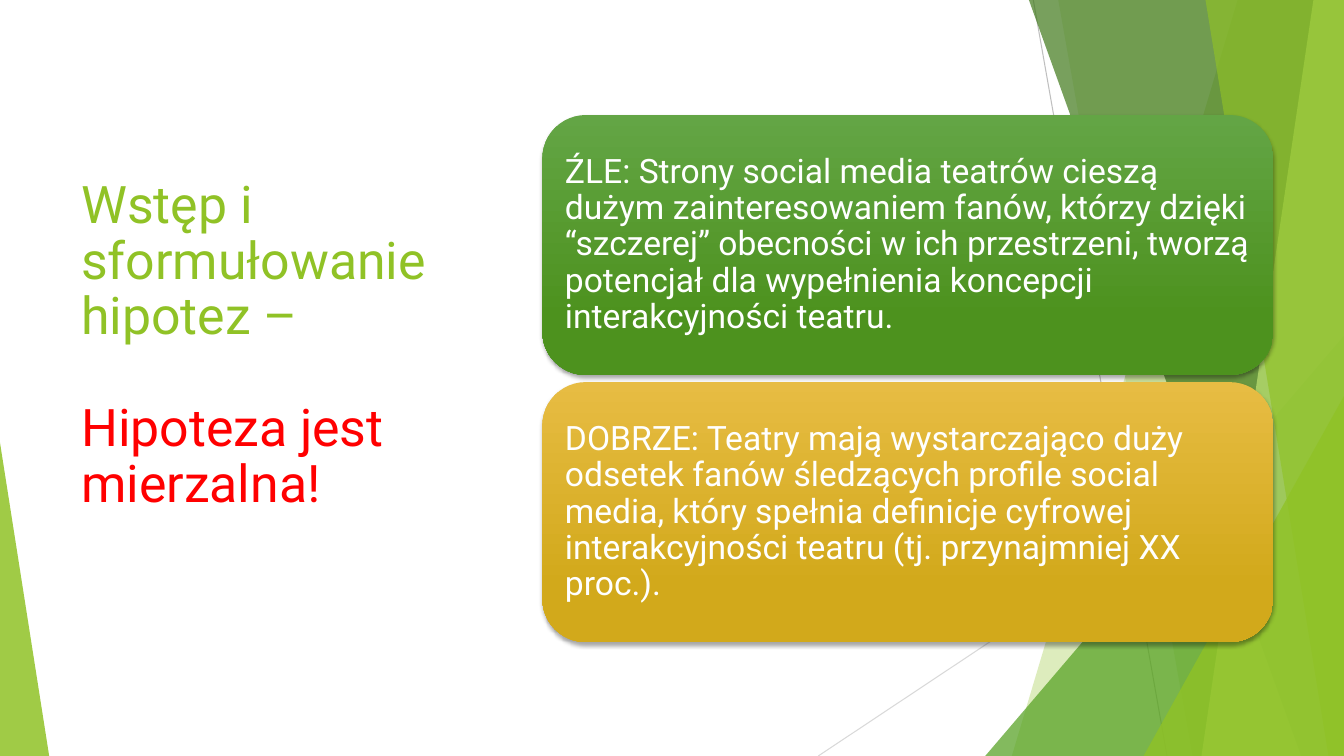
from lxml import etree
from pptx import Presentation
from pptx import util as u
from pptx.dml.color import RGBColor
from pptx.enum import shapes, text
from pptx.oxml.ns import qn

WIDTH, HEIGHT = 33.87, 19.05  # cm
FONT = "Roboto"
GREEN = "90C226"


def colour(hex_string):
    return RGBColor.from_string(hex_string)


def style_facet(shape, fill, opacity):
    shape.shadow.inherit = False
    shape.line.fill.background()
    shape.fill.solid()
    shape.fill.fore_color.rgb = colour(fill)
    fill_colour = shape.fill._xPr.find(qn("a:solidFill"))[0]
    etree.SubElement(fill_colour, qn("a:alpha"), val=str(opacity * 1000))


def add_band(slide, box, top_x, bottom_x, fill, opacity):
    """Slanted band from a left edge to the right side of the box."""
    left, top, width, height = box
    right, bottom = left + width, top + height
    corners = [(left + top_x, top), (right, top), (right, bottom), (left + bottom_x, bottom)]
    points = [(u.Cm(x), u.Cm(y)) for x, y in corners]
    builder = slide.shapes.build_freeform(*points[0], scale=1.0)
    builder.add_line_segments(points[1:], close=True)
    style_facet(builder.convert_to_shape(), fill, opacity)


def add_corner(slide, box, width, height, apex, fill, opacity):
    """Right triangle in a lower corner: apex 0 is left, apex 1 is right."""
    left = box[0] + apex * (box[2] - width)
    top = box[1] + box[3] - height
    shape = slide.shapes.add_shape(shapes.MSO_SHAPE.ISOSCELES_TRIANGLE,
                                   u.Cm(left), u.Cm(top), u.Cm(width), u.Cm(height))
    shape.adjustments[0] = apex
    style_facet(shape, fill, opacity)


def add_hairline(slide, box, start, end, stroke):
    ends = [u.Cm(box[i] + point[i]) for point in (start, end) for i in (0, 1)]
    line = slide.shapes.add_connector(shapes.MSO_CONNECTOR.STRAIGHT, *ends)
    line.line.color.rgb = colour(stroke)
    line.line.width = u.Pt(0.75)
    etree.SubElement(line._element.spPr, qn("a:effectLst"))


def add_background(slide, box):
    add_hairline(slide, box, (26.04, 0), (29.41, HEIGHT), "BFBFBF")
    add_hairline(slide, box, (WIDTH, 10.24), (20.62, HEIGHT), "D9D9D9")
    add_band(slide, box, 31.19, 25.5, GREEN, 30)
    add_band(slide, box, 26.67, 30.05, GREEN, 20)
    add_corner(slide, box, 9.04, 10.59, 1, "54A021", 72)
    add_band(slide, box, 25.93, 32.79, "3F7819", 70)
    add_band(slide, box, 33.1, 30.28, "C0E474", 70)
    add_band(slide, box, 30.38, 33.48, GREEN, 65)
    add_corner(slide, box, 5.05, 9.07, 1, GREEN, 80)
    add_corner(slide, box, 1.24, 7.9, 0, GREEN, 85)


def format_paragraph(paragraph, size, font_colour):
    paragraph.alignment = text.PP_ALIGN.LEFT
    paragraph.line_spacing = 0.9
    for run in paragraph.runs:
        run.font.name = FONT
        run.font.size = u.Pt(size)
        run.font.color.rgb = colour(font_colour)


def add_title(slide, box):
    frame = slide.shapes.add_textbox(*map(u.Cm, box)).text_frame
    frame.word_wrap = True
    frame.vertical_anchor = text.MSO_ANCHOR.MIDDLE
    frame.margin_bottom = u.Cm(1.74)  # lifts the text by half a line
    frame.text = "Wstęp i sformułowanie hipotez –\nHipoteza jest mierzalna!"
    for paragraph, font_colour in zip(frame.paragraphs, (GREEN, "FF0000")):
        format_paragraph(paragraph, 37, font_colour)
    frame.paragraphs[1].space_before = u.Pt(40)


def add_card(slide, box, wording, stops):
    card = slide.shapes.add_shape(shapes.MSO_SHAPE.ROUNDED_RECTANGLE, *map(u.Cm, box))
    card.line.fill.background()
    card.fill.gradient()
    card.fill.gradient_angle = 270
    for stop, position, stop_colour in zip(card.fill.gradient_stops, (0, 0.78), stops):
        stop.position = position
        stop.color.rgb = colour(stop_colour)

    # Soft shadow below the card
    card.shadow.inherit = False
    effects = card._element.spPr.find(qn("a:effectLst"))
    shadow = etree.SubElement(effects, qn("a:outerShdw"), blurRad=str(u.Pt(3)),
                              dist=str(u.Pt(2)), dir="5400000", rotWithShape="0")
    black = etree.SubElement(shadow, qn("a:srgbClr"), val="000000")
    etree.SubElement(black, qn("a:alpha"), val="35000")

    # The rounded corners already inset the text a little
    frame = card.text_frame
    frame.word_wrap = True
    frame.vertical_anchor = text.MSO_ANCHOR.MIDDLE
    frame.margin_left = frame.margin_right = u.Cm(0.25)
    frame.text = wording
    format_paragraph(frame.paragraphs[0], 24, "FFFFFF")


def add_cards(slide, box, gap=0.18):
    left, top, width, height = box
    cards = [
        ("ŹLE: Strony social media teatrów cieszą dużym zainteresowaniem fanów, "
         "którzy dzięki “szczerej” obecności w ich przestrzeni, tworzą potencjał "
         "dla wypełnienia koncepcji interakcyjności teatru.", ("63A545", "4D921E")),
        ("DOBRZE: Teatry mają wystarczająco duży odsetek fanów śledzących profile "
         "social media, który spełnia definicje cyfrowej interakcyjności teatru "
         "(tj. przynajmniej XX proc.).", ("E7BC43", "D2A91B")),
    ]
    card_height = (height - gap * (len(cards) - 1)) / len(cards)
    for row, (wording, stops) in enumerate(cards):
        card_top = top + row * (card_height + gap)
        add_card(slide, (left, card_top, width, card_height), wording, stops)


def main():
    presentation = Presentation()
    presentation.slide_width = u.Cm(WIDTH)
    presentation.slide_height = u.Cm(HEIGHT)
    slide = presentation.slides.add_slide(presentation.slide_layouts[6])
    add_background(slide, (0, 0, WIDTH, HEIGHT))
    add_title(slide, (1.8, 3.84, 9.86, 11.38))
    add_cards(slide, (13.67, 2.9, 18.42, 13.28))
    presentation.save("out.pptx")


if __name__ == "__main__":
    main()
